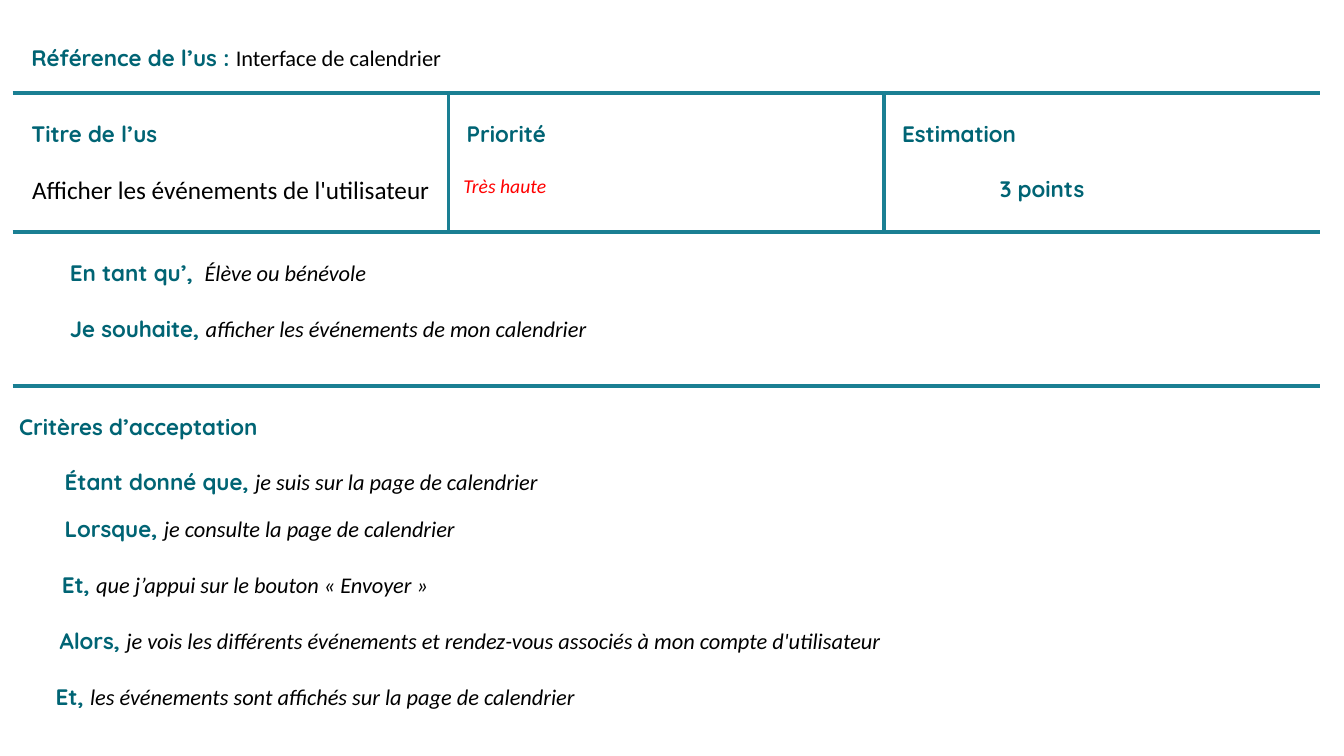
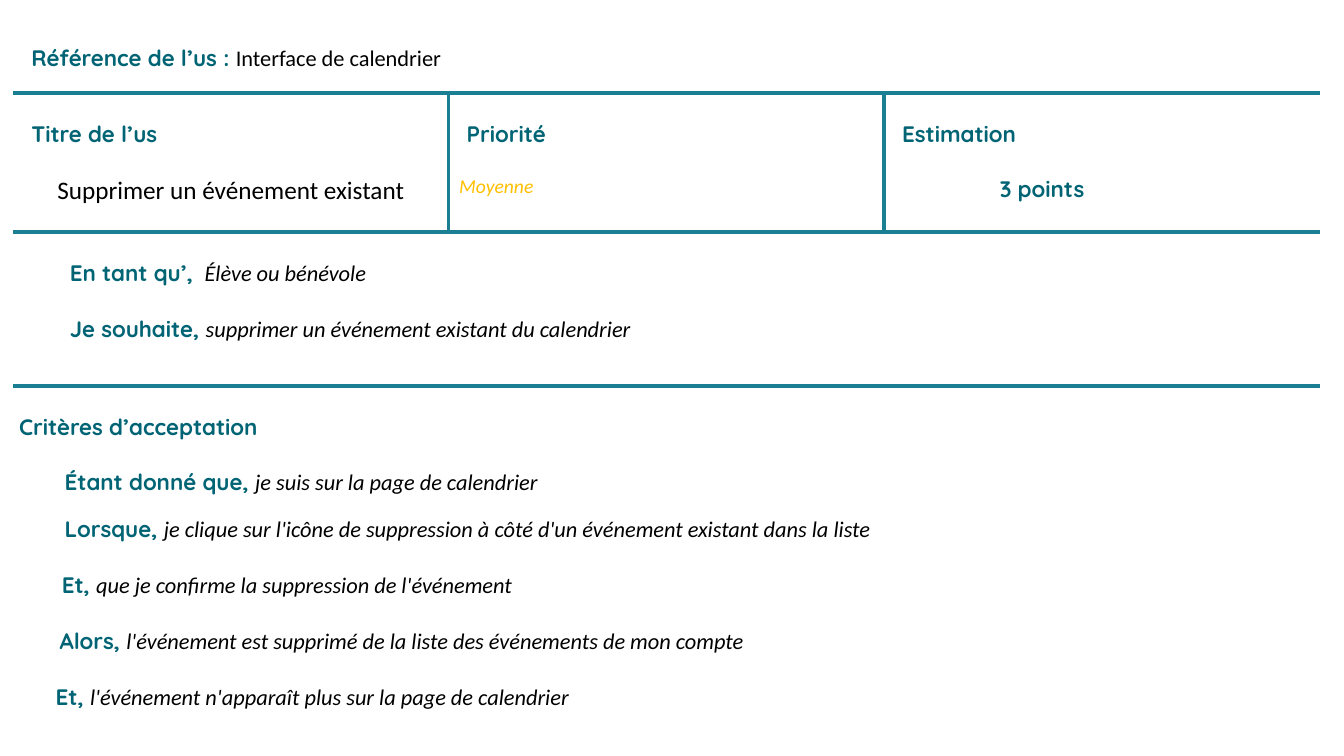
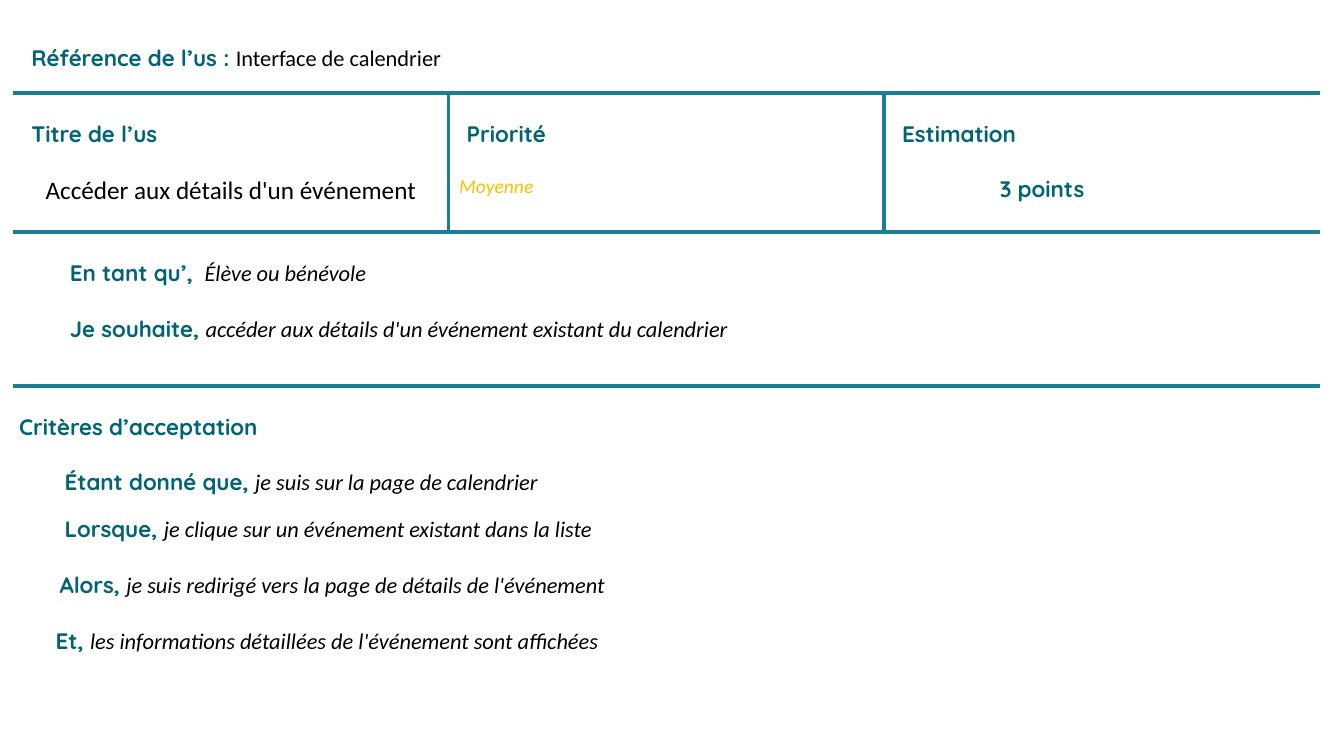
from lxml.etree import SubElement
from pptx import Presentation
from pptx.dml.color import RGBColor
from pptx.enum.text import PP_ALIGN
from pptx.oxml.ns import qn
from pptx.util import Pt

COLORS = {
    "label": "006474",
    "rule": "1A7F93",
    "text": "000000",
    "paper": "FFFFFF",
    "Très haute": "FF0000",
    "Moyenne": "FFC000",
}
FORMATS = {
    "label": {"name": "Quicksand", "size": Pt(16), "bold": True, "italic": False},
    "value": {"name": "Calibri", "size": Pt(16), "bold": False, "italic": False},
    "clause": {"name": "Calibri", "size": Pt(16), "bold": False, "italic": True},
    "title": {"name": "Calibri", "size": Pt(18), "bold": False, "italic": False},
    "priority": {"name": "Calibri", "size": Pt(14), "bold": False, "italic": True},
}
TABLE_BOX = (9.36, 12.24, 933.12)
ROW_HEIGHTS = (54, 99.5, 110, 234)
FULL_CRITERIA = 5
CRITERION_STEP = 40
GAP = 19.5
TIGHT_GAP = 13.4
HEADING_INDENT = 8.7
PRIORITY_INDENTS = {"Très haute": 6.3, "Moyenne": 3.2}
POINTS_INDENT = 78.5
WISH_INDENT = 36.2
CRITERIA_INDENTS = {"Étant donné que, ": 32.5, "Lorsque, ": 32.5, "Alors, ": 28.9}
MIDDLE_AND_INDENT = 30.5
LAST_AND_INDENT = 26.1

STORIES = [
    {
        "title": "Afficher les événements de l'utilisateur",
        "priority": "Très haute",
        "wish": "afficher les événements de mon calendrier",
        "criteria": [
            ("Étant donné que, ", "je suis sur la page de calendrier"),
            ("Lorsque, ", "je consulte la page de calendrier"),
            ("Et, ", "que j’appui sur le bouton «\u00a0Envoyer\u00a0»"),
            ("Alors, ", "je vois les différents événements et rendez-vous "
                        "associés à mon compte d'utilisateur"),
            ("Et, ", "les événements sont affichés sur la page de calendrier"),
        ],
    },
    {
        "title": "Supprimer un événement existant",
        "priority": "Moyenne",
        "wish": "supprimer un événement existant du calendrier",
        "criteria": [
            ("Étant donné que, ", "je suis sur la page de calendrier"),
            ("Lorsque, ", "je clique sur l'icône de suppression à côté d'un "
                          "événement existant dans la liste"),
            ("Et, ", "que je confirme la suppression de l'événement"),
            ("Alors, ", "l'événement est supprimé de la liste des événements de mon compte"),
            ("Et, ", "l'événement n'apparaît plus sur la page de calendrier"),
        ],
    },
    {
        "title": "Accéder aux détails d'un événement",
        "priority": "Moyenne",
        "wish": "accéder aux détails d'un événement existant du calendrier",
        "criteria": [
            ("Étant donné que, ", "je suis sur la page de calendrier"),
            ("Lorsque, ", "je clique sur un événement existant dans la liste"),
            ("Alors, ", "je suis redirigé vers la page de détails de l'événement"),
            ("Et, ", "les informations détaillées de l'événement sont affichées"),
        ],
    },
]


def apply(target, values):
    """Set each named attribute on the target."""
    for attribute, value in values.items():
        setattr(target, attribute, value)


def write_line(cell, runs, indent=0, before=0, align=PP_ALIGN.LEFT):
    """Add one line of (text, format, colour) runs to a cell."""
    frame = cell.text_frame
    line = frame.add_paragraph() if frame.text else frame.paragraphs[0]
    apply(line, {"space_before": Pt(before), "alignment": align})
    if indent:
        line._p.get_or_add_pPr().set("marL", str(int(Pt(indent))))
    for words, style, color in runs:
        run = line.add_run()
        run.text = words
        apply(run.font, FORMATS[style])
        run.font.color.rgb = RGBColor.from_string(COLORS[color])


def rule_cell(cell, sides):
    """Draw the rules on the given sides of a cell."""
    properties = cell._tc.get_or_add_tcPr()
    for side in sides:
        rule = SubElement(properties, qn(f"a:ln{side}"), w=str(int(Pt(3))))
        fill = SubElement(rule, qn("a:solidFill"))
        SubElement(fill, qn("a:srgbClr"), val=COLORS["rule"])


def card_grid(slide, box, heights):
    """Place the ruled story table and return it."""
    left, top, width = box
    grid = slide.shapes.add_table(
        len(heights), 3, Pt(left), Pt(top), Pt(width), Pt(sum(heights))
    ).table
    apply(grid, {"first_row": False, "horz_banding": False})
    for row, height in enumerate(heights):
        grid.rows[row].height = Pt(height)
        split = row == 1
        for column in range(3):
            cell = grid.cell(row, column)
            shown = {
                "L": split and column > 0,
                "R": split and column < 2,
                "T": row > 0,
                "B": row < len(heights) - 1,
            }
            rule_cell(cell, [side for side, visible in shown.items() if visible])
            cell.fill.solid()
            cell.fill.fore_color.rgb = RGBColor.from_string(COLORS["paper"])
            apply(cell, {"margin_left": Pt(4.32), "margin_right": Pt(4.32),
                         "margin_top": Pt(GAP), "margin_bottom": Pt(0)})
        if not split:
            grid.cell(row, 0).merge(grid.cell(row, 2))
    return grid


def reference_region(cell):
    """Write the story reference."""
    write_line(cell, [("Référence de l’us\u00a0: ", "label", "label"),
                      ("Interface de calendrier", "value", "text")], HEADING_INDENT)


def summary_region(title_cell, priority_cell, estimate_cell, story):
    """Write the title, priority and estimate."""
    headings = [(title_cell, "Titre de l’us"), (priority_cell, "Priorité"),
                (estimate_cell, "Estimation")]
    for cell, heading in headings:
        write_line(cell, [(heading, "label", "label")], HEADING_INDENT)
    priority = story["priority"]
    write_line(title_cell, [(story["title"], "title", "text")],
               before=GAP, align=PP_ALIGN.CENTER)
    write_line(priority_cell, [(priority, "priority", priority)],
               PRIORITY_INDENTS[priority], GAP)
    write_line(estimate_cell, [("3 points", "label", "label")], POINTS_INDENT, GAP)


def wish_region(cell, wish):
    """Write who wants the story and what they want."""
    write_line(cell, [("En tant qu’, ", "label", "label"),
                      ("\u00a0Élève ou bénévole", "clause", "text")], WISH_INDENT)
    write_line(cell, [("Je souhaite, ", "label", "label"),
                      (wish, "clause", "text")], WISH_INDENT, GAP)


def criteria_region(cell, criteria):
    """Write the acceptance criteria."""
    write_line(cell, [("Critères d’acceptation", "label", "label")])
    for position, (keyword, clause) in enumerate(criteria, 1):
        and_indent = LAST_AND_INDENT if position == len(criteria) else MIDDLE_AND_INDENT
        write_line(cell, [(keyword, "label", "label"), (clause, "clause", "text")],
                   CRITERIA_INDENTS.get(keyword, and_indent),
                   TIGHT_GAP if keyword == "Lorsque, " else GAP)


def story_slide(deck, story):
    """Build one user story slide."""
    slide = deck.slides.add_slide(deck.slide_layouts[6])
    missing = FULL_CRITERIA - len(story["criteria"])
    heights = (*ROW_HEIGHTS[:-1], ROW_HEIGHTS[-1] - missing * CRITERION_STEP)
    grid = card_grid(slide, TABLE_BOX, heights)
    reference_region(grid.cell(0, 0))
    summary_region(*(grid.cell(1, column) for column in range(3)), story)
    wish_region(grid.cell(2, 0), story["wish"])
    criteria_region(grid.cell(3, 0), story["criteria"])


def main():
    """Build and save the deck."""
    deck = Presentation()
    apply(deck, {"slide_width": Pt(960), "slide_height": Pt(540)})
    for story in STORIES:
        story_slide(deck, story)
    deck.save("out.pptx")


main()
